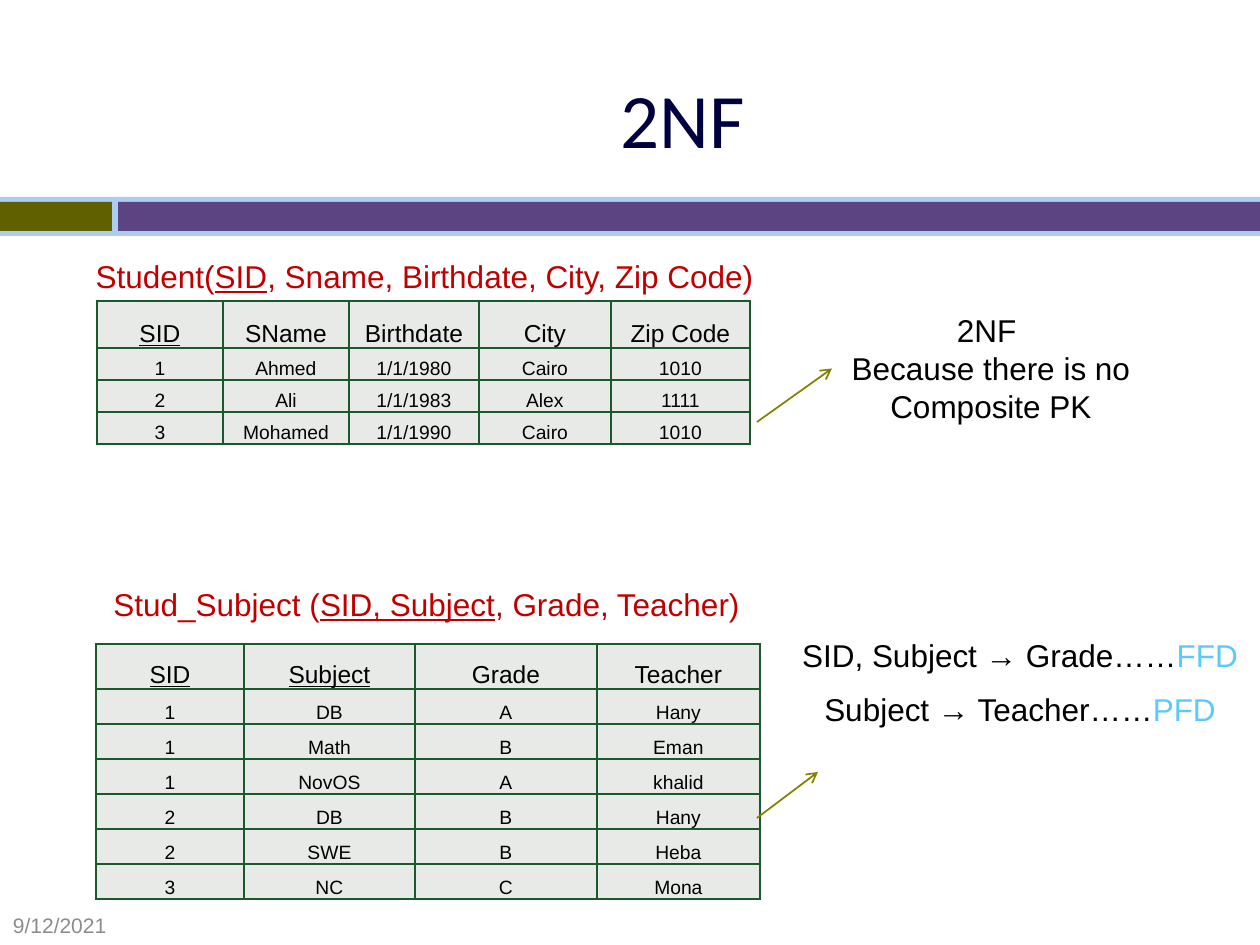
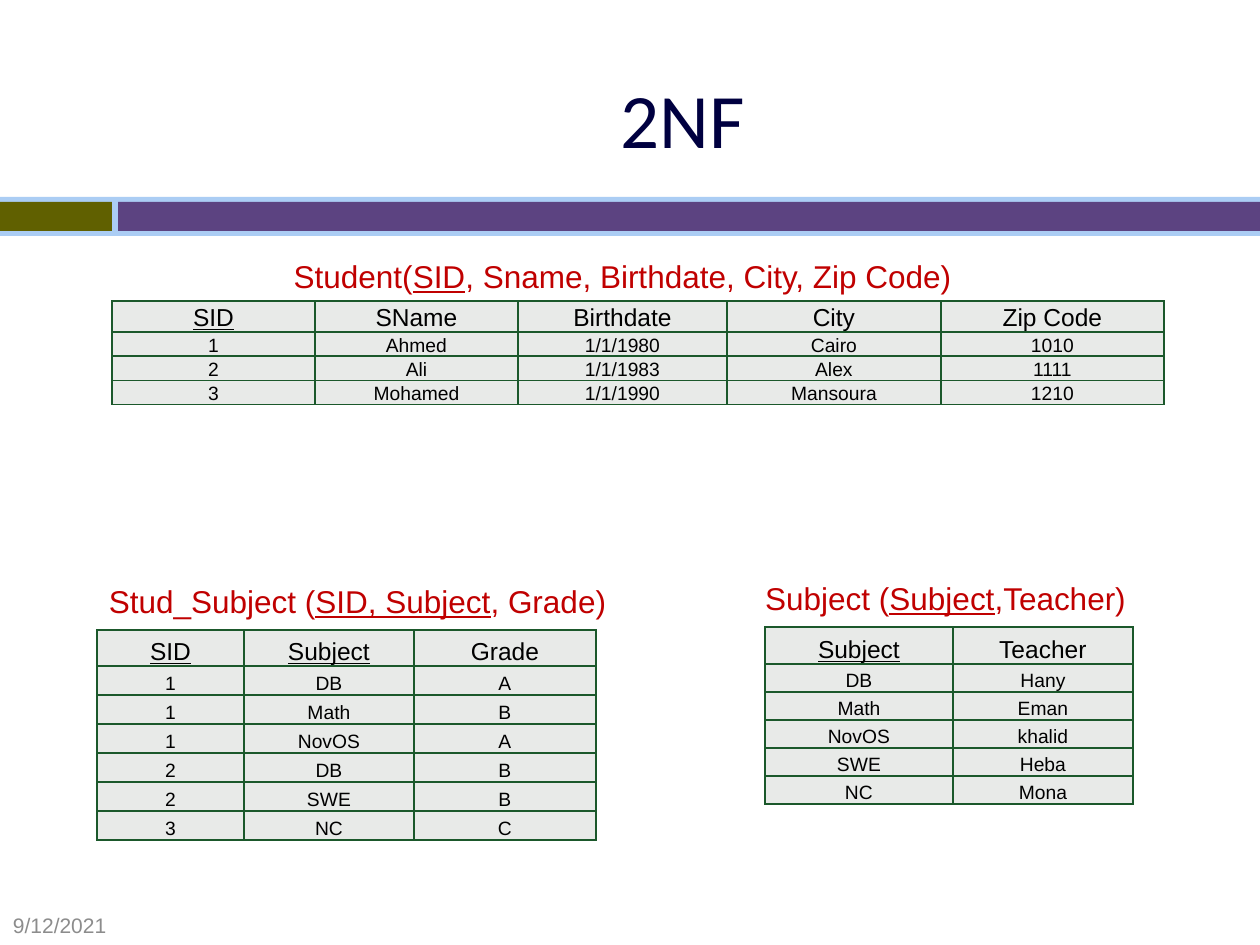
from lxml import etree
from pptx import Presentation
from pptx import util as u
from pptx.dml.color import RGBColor
from pptx.enum import shapes, text
from pptx.oxml import ns

SCALE = u.Inches(1) / 126
COLORS = {
    "title": "000040", "frame": "ABCDF4", "olive": "606000", "purple": "5C4381",
    "date": "8C8C8C", "caption": "C00000", "ink": "000000", "accent": "5BC9FF",
    "cell": "E8EAE8", "border": "1B582B", "arrow": "828200",
}
CENTER = text.PP_ALIGN.CENTER
MIDDLE = text.MSO_ANCHOR.MIDDLE
TOP = text.MSO_ANCHOR.TOP


def add_runs(paragraph, runs, size, align=CENTER, font="Arial"):
    paragraph.alignment = align
    for words, color, underline in runs:
        run = paragraph.add_run()
        run.text = words
        run.font.name = font
        run.font.size = u.Pt(size)
        run.font.underline = underline
        run.font.color.rgb = RGBColor.from_string(COLORS[color])


def add_text(slide, box, lines, size=18, anchor=TOP, align=CENTER, font="Arial", sides=(13, 13)):
    shape = slide.shapes.add_textbox(*[round(v * SCALE) for v in box])
    frame = shape.text_frame
    frame.word_wrap = True
    frame.vertical_anchor = anchor
    frame.margin_left, frame.margin_right = [round(v * SCALE) for v in sides]
    for index, runs in enumerate(lines):
        paragraph = frame.add_paragraph() if index else frame.paragraphs[0]
        add_runs(paragraph, runs, size, align, font)
    return shape


BANDS = [
    ((0, 197, 1260, 39), "frame"),
    ((0, 202, 112, 29), "olive"),
    ((118, 202, 1142, 29), "purple"),
]

STUDENT_HEADER = ["SID", "SName", "Birthdate", "City", "Zip Code"]
STUDENTS = [
    ["1", "Ahmed", "1/1/1980", "Cairo", "1010"],
    ["2", "Ali", "1/1/1983", "Alex", "1111"],
]
GRADES = [
    ["1", "DB", "A", "Hany"],
    ["1", "Math", "B", "Eman"],
    ["1", "NovOS", "A", "khalid"],
    ["2", "DB", "B", "Hany"],
    ["2", "SWE", "B", "Heba"],
    ["3", "NC", "C", "Mona"],
]
GRADE_HEADER = ["SID", "Subject", "Grade", "Teacher"]
TEACHERS = dict(row[1::2] for row in GRADES)

SLIDES = [
    [
        {"at": (97, 301), "columns": [126, 126, 130, 132, 139], "heights": (47, 32), "keys": 1,
         "rows": [STUDENT_HEADER, *STUDENTS, ["3", "Mohamed", "1/1/1990", "Cairo", "1010"]],
         "box": (39, 251, 736, 50),
         "caption": ("Student(", "SID", ", Sname, Birthdate, City, Zip Code)")},
        {"at": (96, 644), "columns": [148, 171, 182, 163], "heights": (45, 35), "keys": 2,
         "rows": [GRADE_HEADER, *GRADES],
         "box": (39, 579, 740, 50),
         "caption": ("Stud_Subject (", "SID, Subject", ", Grade, Teacher)")},
    ],
    [
        {"at": (112, 301), "columns": [203, 203, 209, 214, 223], "heights": (31, 24), "keys": 1,
         "rows": [STUDENT_HEADER, *STUDENTS, ["3", "Mohamed", "1/1/1990", "Mansoura", "1210"]],
         "box": (237, 251, 736, 50),
         "caption": ("Student(", "SID", ", Sname, Birthdate, City, Zip Code)")},
        {"at": (97, 630), "columns": [147, 170, 182], "heights": (36, 29), "keys": 2,
         "rows": [row[:3] for row in [GRADE_HEADER, *GRADES]],
         "box": (-30, 576, 740, 50),
         "caption": ("Stud_Subject (", "SID, Subject", ", Grade)")},
        {"at": (765, 627), "columns": [188, 180], "heights": (37, 28), "keys": 1,
         "rows": [GRADE_HEADER[1::2], *TEACHERS.items()],
         "box": (558, 573, 740, 50),
         "caption": ("Subject (", "Subject", ",Teacher)")},
    ],
]

presentation = Presentation()
presentation.slide_width = round(1260 * SCALE)
presentation.slide_height = round(945 * SCALE)

for relations in SLIDES:
    slide = presentation.slides.add_slide(presentation.slide_layouts[6])
    for box, color in BANDS:
        band = slide.shapes.add_shape(
            shapes.MSO_SHAPE.RECTANGLE, *[round(v * SCALE) for v in box])
        band.shadow.inherit = False
        band.fill.solid()
        band.fill.fore_color.rgb = RGBColor.from_string(COLORS[color])
        band.line.fill.background()
    add_text(slide, (116, 39, 1134, 158), [[("2NF", "title", False)]],
             size=44, anchor=MIDDLE, font="Calibri")
    add_text(slide, (0, 906, 248, 39), [[("9/12/2021", "date", False)]],
             size=12, anchor=MIDDLE, align=text.PP_ALIGN.LEFT)

    for relation in relations:
        rows, columns = relation["rows"], relation["columns"]
        header_height, body_height = relation["heights"]
        heights = [header_height] + [body_height] * (len(rows) - 1)
        box = (*relation["at"], sum(columns), sum(heights))
        table = slide.shapes.add_table(
            len(rows), len(columns), *[round(v * SCALE) for v in box]).table
        table.first_row = table.horz_banding = False
        for column, width in zip(table.columns, columns):
            column.width = round(width * SCALE)
        for r, (values, height) in enumerate(zip(rows, heights)):
            table.rows[r].height = round(height * SCALE)
            for c, value in enumerate(values):
                cell = table.cell(r, c)
                cell.margin_left = cell.margin_right = cell.margin_top = round(SCALE)
                cell.margin_bottom = 0
                cell.vertical_anchor = text.MSO_ANCHOR.BOTTOM
                is_key = r == 0 and c < relation["keys"]
                add_runs(cell.text_frame.paragraphs[0], [(value, "ink", is_key)],
                         11 if r else 14)
                properties = cell._tc.get_or_add_tcPr()
                for side in ("a:lnL", "a:lnR", "a:lnT", "a:lnB"):
                    border = etree.SubElement(properties, ns.qn(side), w=str(u.Pt(1)))
                    fill = etree.SubElement(border, ns.qn("a:solidFill"))
                    etree.SubElement(fill, ns.qn("a:srgbClr"), val=COLORS["border"])
                cell.fill.solid()
                cell.fill.fore_color.rgb = RGBColor.from_string(COLORS["cell"])
        before, key, after = relation["caption"]
        add_text(slide, relation["box"],
                 [[(before, "caption", False), (key, "caption", True), (after, "caption", False)]],
                 sides=(35, 0))

slide = presentation.slides[0]
reason = add_text(slide, (832, 305, 318, 127), [
    [("2NF ", "ink", False)],
    [("Because there is no Composite PK", "ink", False)],
])
DEPENDENCIES = [("SID, Subject → Grade……", "FFD"), ("Subject → Teacher……", "PFD")]
for index, (dependency, kind) in enumerate(DEPENDENCIES):
    add_text(slide, (788, 630 + 54 * index, 482, 50),
             [[(dependency, "ink", False), (kind, "accent", False)]], sides=(0, 18))

for ends, target in [((757, 422, 832, 368), reason), ((757, 818, 818, 772), None)]:
    arrow = slide.shapes.add_connector(
        shapes.MSO_CONNECTOR.STRAIGHT, *[round(v * SCALE) for v in ends])
    if target:
        arrow.end_connect(target, 1)
    arrow.line.width = u.Pt(1)
    arrow.line.color.rgb = RGBColor.from_string(COLORS["arrow"])
    etree.SubElement(arrow.line._get_or_add_ln(), ns.qn("a:tailEnd"), type="arrow")
    etree.SubElement(arrow._element.spPr, ns.qn("a:effectLst"))

presentation.save("out.pptx")
